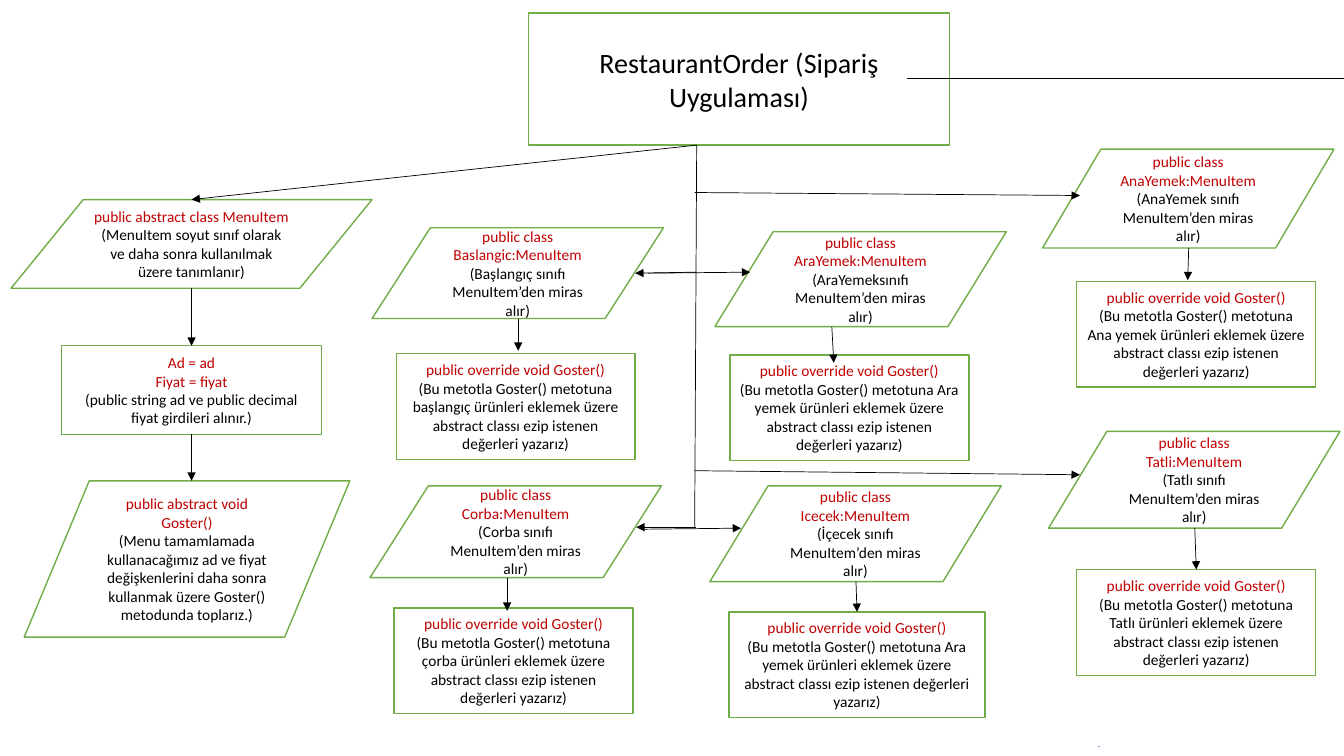
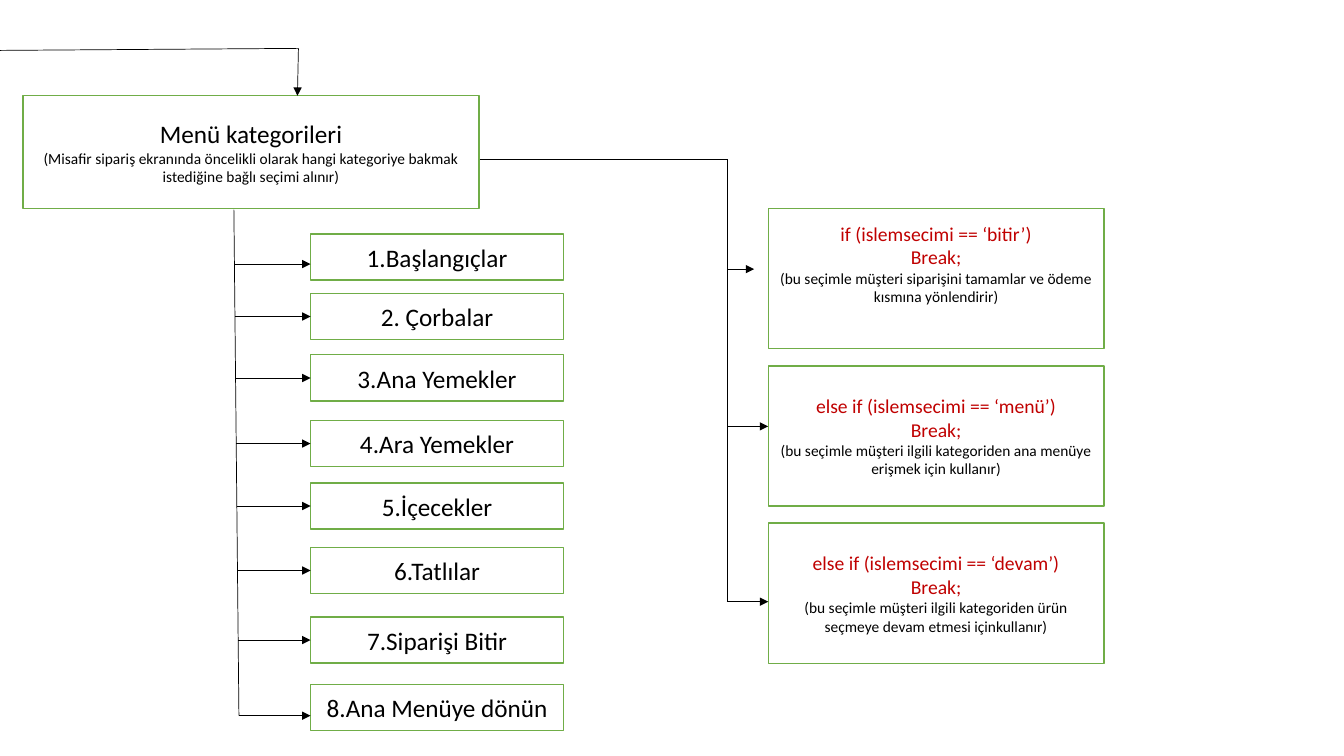
from lxml import etree
from pptx import Presentation
from pptx.dml import color
from pptx.enum import shapes, text
from pptx.oxml import ns
from pptx.util import Inches, Pt

BLACK, RED, GREEN, WHITE, BLUE = "000000", "C00000", "70AD47", "FFFFFF", "5B9BD5"
SLANTED = shapes.MSO_SHAPE.FLOWCHART_DATA
RECTANGLE = shapes.MSO_SHAPE.RECTANGLE
FRAME_FORMAT = {"word_wrap": True, "vertical_anchor": text.MSO_ANCHOR.MIDDLE,
                "auto_size": text.MSO_AUTO_SIZE.NONE}
FONT_FORMAT = {"name": "Calibri", "bold": False}
TOP, LEFT = 0, 1
BOTTOM = 2

METHOD_TEXT = ("(Bu metotla Goster() metotuna {} ürünleri eklemek üzere "
               "abstract classı ezip istenen değerleri yazarız)")

BRANCHES = [
    ((3.69, 2.26, 2.89, 0.9), "Baslangic", "Başlangıç sınıfı", "başlangıç",
     (0.24, 1.25, 2.37), (1.45, 1.45, 1.22), False),
    ((3.67, 4.82, 2.89, 0.91), "Corba", "Corba sınıfı", "çorba",
     (0.24, 1.21, 2.37), (1.36, 1.36, 1.24), False),
    ((7.09, 2.3, 2.89, 0.94), "AraYemek", "AraYemeksınıfı", "Ara yemek",
     (0.15, 1.22, 2.37), (1.16, 1.18, 1.3), False),
    ((7.04, 4.82, 2.89, 0.95), "Icecek", "İçecek sınıfı", "Ara yemek",
     (0.19, 1.25, 2.54), (1.45, 1.46, 1.25), True),
    ((10.34, 1.48, 2.89, 0.98), "AnaYemek", "AnaYemek sınıfı", "Ana yemek",
     (0.34, 1.31, 2.37), (1.45, 1.44, 1.3), False),
    ((10.4, 4.28, 2.89, 0.96), "Tatli", "Tatlı sınıfı", "Tatlı",
     (0.28, 1.37, 2.37), (1.45, 1.47, 1.37), True),
]

CATEGORIES = [
    ("1.Başlangıçlar", 2.32, 2.62), ("2. Çorbalar", 2.91, 3.14),
    ("3.Ana Yemekler", 3.52, 3.75), ("4.Ara Yemekler", 4.17, 4.4),
    ("5.İçecekler", 4.79, 5.02), ("6.Tatlılar", 5.43, 5.66),
    ("7.Siparişi Bitir", 6.12, 6.35), ("8.Ana Menüye dönün", 6.79, 7.1),
]

CONDITIONS = [
    ("if (islemsecimi == ‘bitir’)",
     "(bu seçimle müşteri siparişini tamamlar ve ödeme kısmına yönlendirir)", 0.35),
    ("else if (islemsecimi == ‘menü’)",
     "(bu seçimle müşteri ilgili kategoriden ana menüye erişmek için kullanır)", 0.05),
    ("else if (islemsecimi == ‘devam’)",
     "(bu seçimle müşteri ilgili kategoriden ürün seçmeye devam etmesi içinkullanır)", 0.05),
]


def rgb(hex_code):
    """Turn a hex string into a colour."""
    return color.RGBColor.from_string(hex_code)


def assign(target, values):
    """Set each attribute in values on the target."""
    for name, value in values.items():
        setattr(target, name, value)


def decorate(shape, paras):
    """Give a shape the shared outline and its (text, size, colour) paragraphs."""
    shape.shadow.inherit = False
    shape.fill.solid()
    shape.fill.fore_color.rgb = rgb(WHITE)
    shape.line.color.rgb = rgb(GREEN)
    shape.line.width = Pt(1)
    frame = shape.text_frame
    assign(frame, FRAME_FORMAT)
    for index, (words, size, hex_code) in enumerate(paras):
        para = frame.add_paragraph() if index else frame.paragraphs[0]
        para.alignment = text.PP_ALIGN.CENTER
        span = para.add_run()
        span.text = words
        assign(span.font, {**FONT_FORMAT, "size": Pt(size)})
        span.font.color.rgb = rgb(hex_code)
    return shape


def add_box(page, box, paras, kind=RECTANGLE):
    """Add an outlined shape with centred text."""
    return decorate(page.shapes.add_shape(kind, *map(Inches, box)), paras)


def place_title(page, box, paras, preset="rect"):
    """Move the title placeholder into a box and outline it."""
    title = page.shapes.title
    assign(title, dict(zip(("left", "top", "width", "height"), map(Inches, box))))
    outline = etree.SubElement(title.element.spPr, ns.qn("a:prstGeom"), prst=preset)
    etree.SubElement(outline, ns.qn("a:avLst"))
    return decorate(title, paras)


def link(page, start, end, arrow=True, source=None, target=None, bend=None, hex_code=BLACK):
    """Connect two points, joining a (shape, side) at either end."""
    kinds = shapes.MSO_CONNECTOR
    kind = kinds.STRAIGHT if bend is None else kinds.ELBOW
    connector = page.shapes.add_connector(kind, *map(Inches, (*start, *end)))
    if source:
        connector.begin_connect(*source)
    if target:
        connector.end_connect(*target)
    connector.line.color.rgb = rgb(hex_code)
    connector.line.width = Pt(0.5)
    properties = connector.element.spPr
    if arrow:
        etree.SubElement(properties.find(ns.qn("a:ln")), ns.qn("a:tailEnd"), type="triangle")
    if bend is not None:
        guides = properties.find(ns.qn("a:prstGeom")).find(ns.qn("a:avLst"))
        etree.SubElement(guides, ns.qn("a:gd"), name="adj1", fmla=f"val {round(bend * 100000)}")
    etree.SubElement(properties, ns.qn("a:effectLst"))
    return connector


def base_class(page, box):
    """Stack the abstract class, its fields and its method."""
    left, top, width, height = box
    middle = left + width / 2
    add_box(page, box, [
        ("public abstract class MenuItem", 11, RED),
        ("(MenuItem soyut sınıf olarak ve daha sonra kullanılmak üzere tanımlanır)", 11, BLACK),
    ], SLANTED)
    fields = add_box(page, (left + 0.5, top + 1.45, 2.58, height), [
        ("Ad = ad", 11, RED), ("Fiyat = fiyat", 11, RED),
        ("(public string ad ve public decimal fiyat girdileri alınır.)", 11, BLACK),
    ])
    add_box(page, (left + 0.13, top + 2.79, 3.23, 1.55), [
        ("public abstract void Goster()", 11, RED),
        ("(Menu tamamlamada kullanacağımız ad ve fiyat değişkenlerini daha sonra "
         "kullanmak üzere Goster() metodunda toplarız.)", 11, BLACK),
    ], SLANTED)
    link(page, (middle, top + height), (middle, top + 1.45), target=(fields, TOP))
    link(page, (middle, top + 1.45 + height), (middle, top + 2.79), source=(fields, BOTTOM))


def class_branch(page, box, name, summary, dish, method, arrow, joined):
    """Draw a derived class with its overriding method below."""
    left, top, _, height = box
    add_box(page, box, [
        (f"public class {name}:MenuItem", 11, RED),
        (f"({summary} MenuItem’den miras alır)", 11, BLACK),
    ], SLANTED)
    across, down, width = method
    override = add_box(page, (left + across, top + down, width, 1.05), [
        ("public override void Goster()", 11, RED), (METHOD_TEXT.format(dish), 11, BLACK),
    ])
    start, end, drop = arrow
    link(page, (left + start, top + height), (left + end, top + drop),
         target=(override, TOP) if joined else None)


def class_trunk(page, box):
    """Run the trunk down from the title and out to each class."""
    left, top, _, height = box
    link(page, (left, top), (1.9, 1.98))
    link(page, (left, top), (left - 0.02, top + height), arrow=False)
    for start, end in [
        ((0, 1.26), (-0.61, 1.27)), ((-0.48, 1.27), (0.53, 1.26)),
        ((-0.01, 3.79), (-0.6, 3.79)), ((-0.54, 3.81), (0.44, 3.8)),
        ((-0.02, 0.47), (3.8, 0.5)), ((-0.02, 3.23), (3.8, 3.27)),
    ]:
        link(page, (left + start[0], top + start[1]), (left + end[0], top + end[1]))


def category_list(page, box):
    """List the menu categories beside their trunk."""
    left, top, width, height = box
    link(page, (left, top), (left + 0.05, top + height), arrow=False)
    for label, row_top, arrow_y in CATEGORIES:
        row = add_box(page, (left + 0.76, row_top, width - 0.76, 0.46), [(label, 18, BLACK)])
        trunk_x = left + 0.05 * (arrow_y - top) / height
        centred = abs(row_top + 0.23 - arrow_y) < 0.01
        link(page, (trunk_x, arrow_y), (left + 0.76, arrow_y),
             target=(row, LEFT) if centred else None)


def condition_list(page, box):
    """Stack the three choices and lead the flow into them."""
    left, top, width, _ = box
    for index, (test, outcome, bottom_margin) in enumerate(CONDITIONS):
        choice = add_box(page, (left, top + 1.56 * index, width, 1.39), [
            (test, 14, RED), ("Break;", 14, RED), (outcome, 11, BLACK),
        ])
        choice.text_frame.margin_bottom = Inches(bottom_margin)
    turn = left - 0.41
    for end_x, end_y in ((left - 0.14, top + 0.6), (left, top + 2.16)):
        link(page, (4.76, 1.58), (end_x, end_y), bend=(turn - 4.76) / (end_x - 4.76))
    link(page, (turn, 1.58), (turn, top + 3.9), arrow=False)
    link(page, (turn, top + 3.9), (left, top + 3.9))


def class_slide(page):
    """Build the class diagram slide."""
    place_title(page, (5.24, 0.13, 4.18, 1.31),
                [("RestaurantOrder (Sipariş Uygulaması)", 20, BLACK)], "flowChartInputOutput")
    base_class(page, (0.11, 1.98, 3.58, 0.88))
    for branch in BRANCHES:
        class_branch(page, *branch)
    class_trunk(page, (6.91, 1.44, 0, 3.79))
    link(page, (9, 0.78), (13.33, 0.78), arrow=False)
    link(page, (10.89, 7.4), (10.91, 7.4), arrow=False, hex_code=BLUE)


def menu_slide(page):
    """Build the menu flow slide."""
    place_title(page, (0.23, 0.95, 4.52, 1.12), [
        ("Menü kategorileri", 18, BLACK),
        ("(Misafir sipariş ekranında öncelikli olarak hangi kategoriye bakmak "
         "istediğine bağlı seçimi alınır)", 11, BLACK),
    ])
    link(page, (0, 0.5), (2.96, 0.48), arrow=False)
    link(page, (2.96, 0.48), (2.95, 0.95))
    category_list(page, (2.32, 2.08, 3.27, 5.02))
    condition_list(page, (7.62, 2.07, 3.33, 1.39))


def main():
    """Build and save the deck."""
    deck = Presentation()
    deck.slide_width, deck.slide_height = Inches(13.33), Inches(7.5)
    for build in (class_slide, menu_slide):
        build(deck.slides.add_slide(deck.slide_layouts[5]))
    deck.save("out.pptx")


if __name__ == "__main__":
    main()
